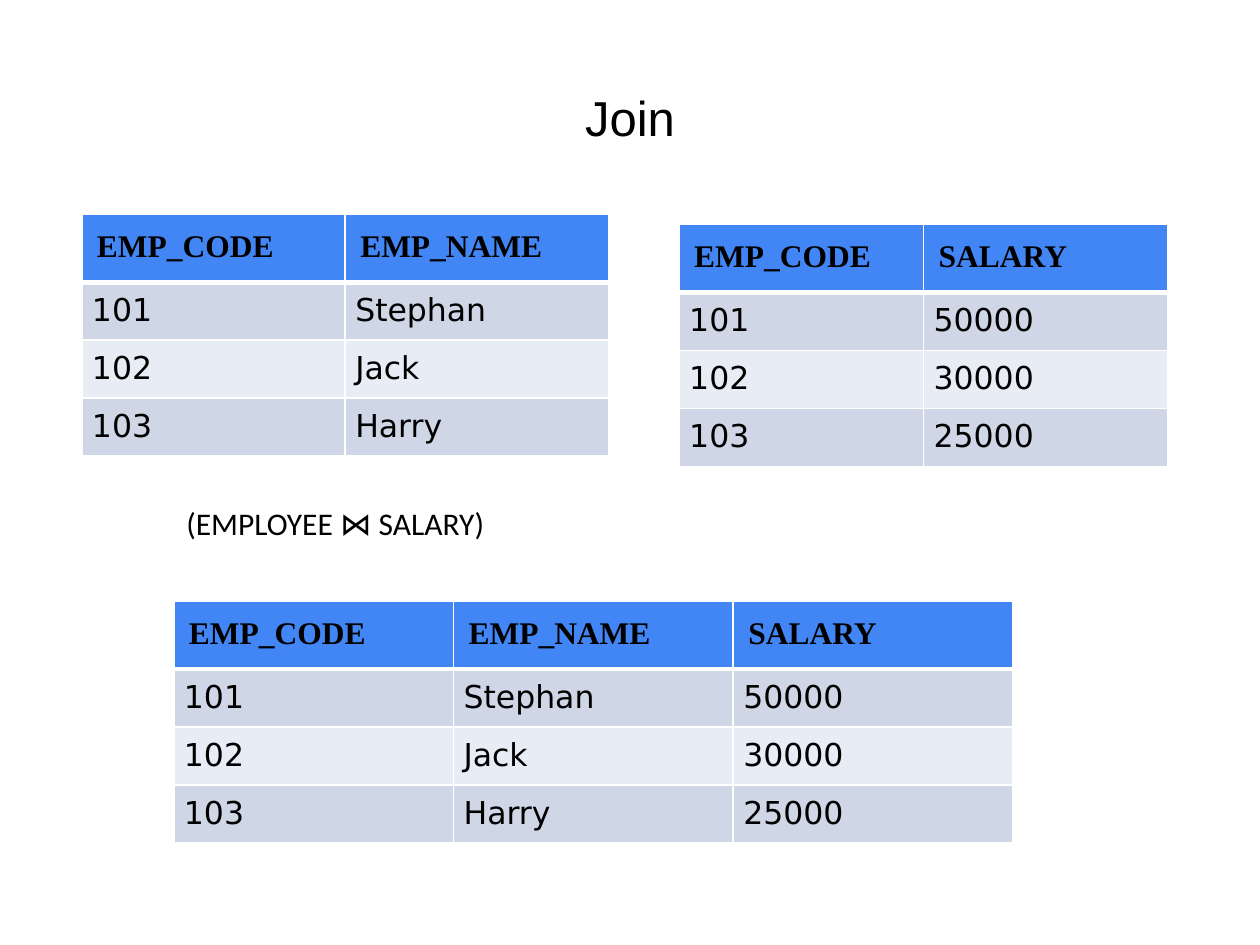
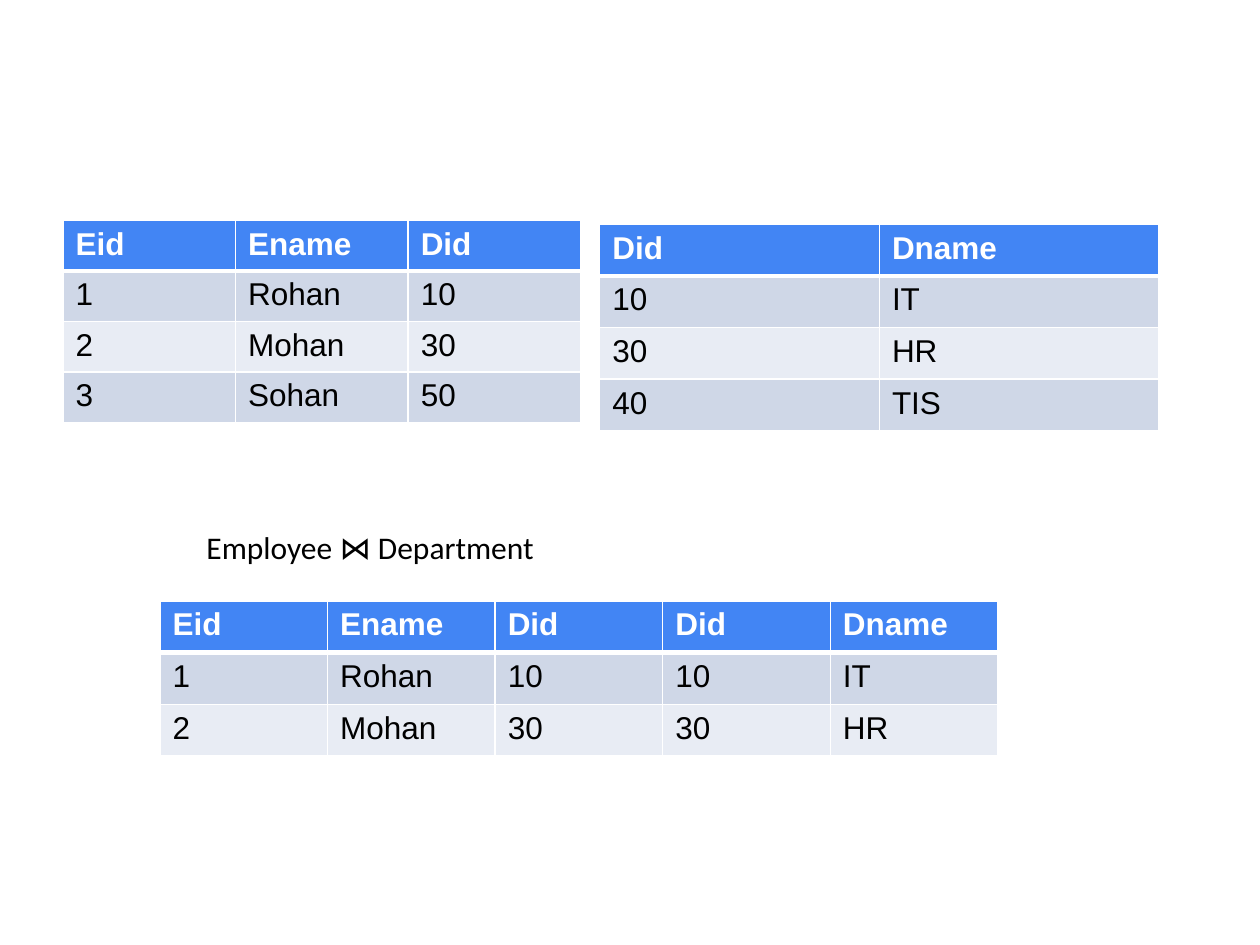
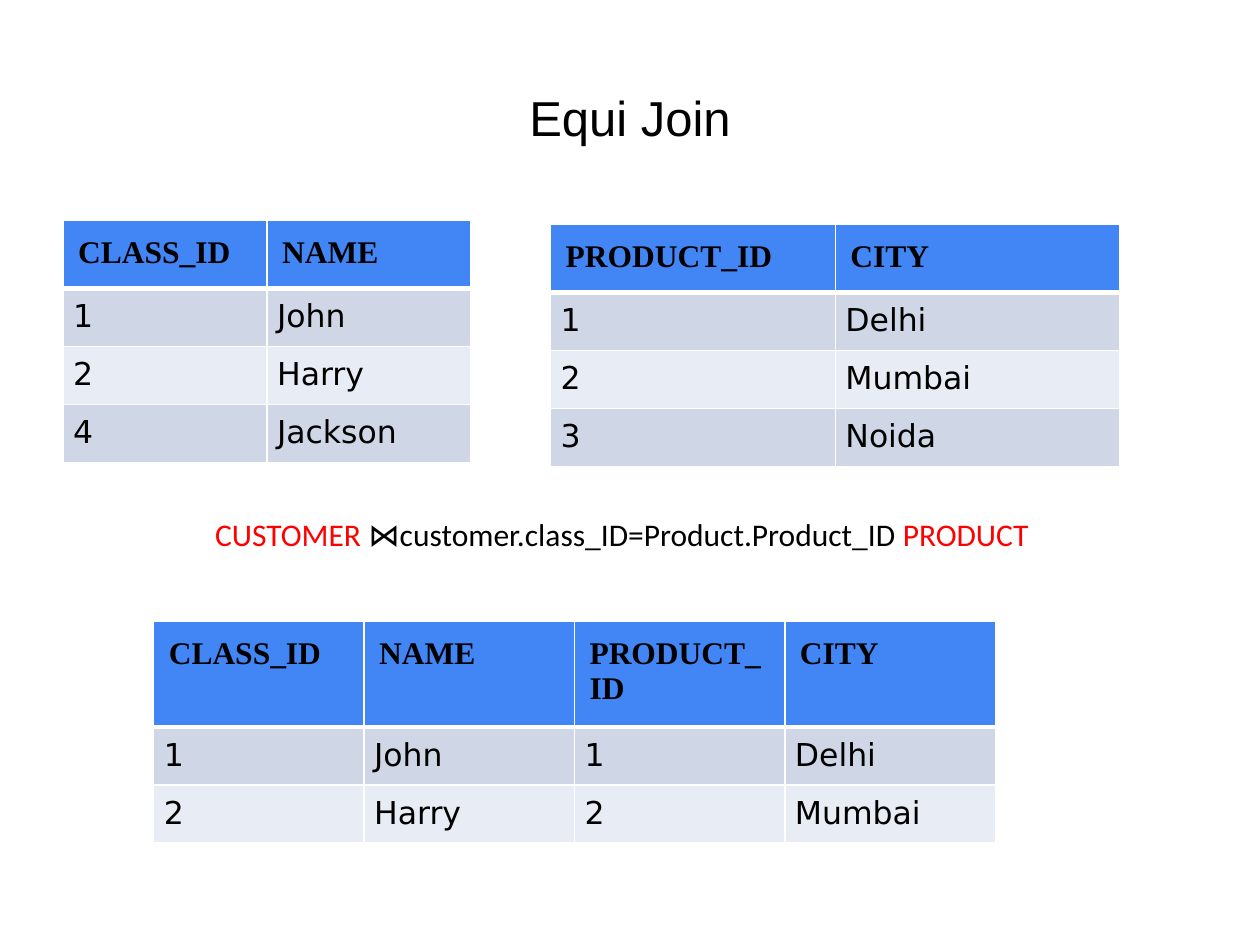
from lxml.etree import SubElement
from pptx import Presentation
from pptx.dml.color import RGBColor
from pptx.enum.text import MSO_ANCHOR, PP_ALIGN
from pptx.oxml.ns import qn
from pptx.util import Inches, Pt

# Shared look
HUES = {"head": "4285F4", "odd": "CFD7E7", "even": "E8ECF4",
        "line": "FFFFFF", "ink": "000000", "pale": "FFFFFF", "mark": "FF0000"}
WIDE, HIGH = 10, 7.5
TITLE = (0.05 * WIDE, 0.04 * HIGH, 0.9 * WIDE, 1.25)
PAD = (0.1, 0.05)
LOOKS = {
    "code": {"head": {"font": "Times New Roman", "bold": True, "pad": (0.12, 0.12)},
             "body": {"font": "DejaVu Sans", "pad": (0.08, 0.08)}},
    "plain": {"head": {"font": "Arial", "bold": True, "hue": "pale"},
              "body": {"font": "Arial"}},
}

# Content: each table is left, top, column width, row height, rows
SLIDES = [
    {"title": "Join", "look": "code",
     "note": (1.38, 3.95, 2.72, [("(EMPLOYEE ⋈ SALARY)", "ink")]),
     "tables": [
         (5.39, 1.78, 1.94, 0.41, [("EMP_CODE", "SALARY"), ("101", "50000"),
                                   ("102", "30000"), ("103", "25000")]),
         (0.65, 1.7, 2.09, 0.41, [("EMP_CODE", "EMP_NAME"), ("101", "Stephan"),
                                  ("102", "Jack"), ("103", "Harry")]),
         (1.38, 4.77, 2.22, 0.41, [("EMP_CODE", "EMP_NAME", "SALARY"),
                                   ("101", "Stephan", "50000"),
                                   ("102", "Jack", "30000"),
                                   ("103", "Harry", "25000")])]},
    {"title": None, "look": "plain",
     "note": (1.54, 4.14, 3.07, [("Employee ⋈ Department", "ink")]),
     "tables": [
         (0.5, 1.75, 1.37, 0.38, [("Eid", "Ename", "Did"), ("1", "Rohan", "10"),
                                  ("2", "Mohan", "30"), ("3", "Sohan", "50")]),
         (4.76, 1.78, 2.22, 0.41, [("Did", "Dname"), ("10", "IT"),
                                   ("30", "HR"), ("40", "TIS")]),
         (1.27, 4.77, 1.33, 0.41, [("Eid", "Ename", "Did", "Did", "Dname"),
                                   ("1", "Rohan", "10", "10", "IT"),
                                   ("2", "Mohan", "30", "30", "HR")])]},
    {"title": "Equi Join", "look": "code",
     "note": (1.61, 4.04, 6.7, [("CUSTOMER", "mark"),
                                (" ⋈customer.class_ID=Product.Product_ID ", "ink"),
                                ("PRODUCT", "mark")]),
     "tables": [
         (0.5, 1.75, 1.62, 0.41, [("CLASS_ID", "NAME"), ("1", "John"),
                                  ("2", "Harry"), ("4", "Jackson")]),
         (4.37, 1.78, 2.26, 0.41, [("PRODUCT_ID", "CITY"), ("1", "Delhi"),
                                   ("2", "Mumbai"), ("3", "Noida")]),
         (1.22, 4.93, 1.67, 0.41, [("CLASS_ID", "NAME", "PRODUCT_ID", "CITY"),
                                   ("1", "John", "1", "Delhi"),
                                   ("2", "Harry", "2", "Mumbai")])]},
]


def rgb(hue):
    return RGBColor.from_string(HUES[hue])


def write(host, frame, runs, font="Arial", size=18, bold=False, hue="ink",
          pad=PAD, align=PP_ALIGN.LEFT):
    """Fill a cell or text frame with a string or (text, hue) runs."""
    host.margin_left = host.margin_right = Inches(pad[0])
    host.margin_top = host.margin_bottom = Inches(pad[1])
    para = frame.paragraphs[0]
    para.alignment = align
    for text, tone in [(runs, hue)] if isinstance(runs, str) else runs:
        run = para.add_run()
        run.text = text
        run.font.name, run.font.size, run.font.bold = font, Pt(size), bold
        run.font.color.rgb = rgb(tone)


def add_box(slide, place, runs, anchor=MSO_ANCHOR.TOP, **style):
    frame = slide.shapes.add_textbox(*map(Inches, place)).text_frame
    frame.word_wrap = True
    frame.vertical_anchor = anchor
    write(frame, frame, runs, **style)


def edge(cell, sides):
    """Draw cell borders; these must precede the fill."""
    props = cell._tc.get_or_add_tcPr()
    for spot, (side, width) in enumerate(sides.items()):
        line = SubElement(props, qn("a:ln" + side), w=str(Pt(width)))
        fill = SubElement(line, qn("a:solidFill"))
        SubElement(fill, qn("a:srgbClr"), val=HUES["line"])
        props.insert(spot, line)


def add_grid(slide, look, left, top, wide, high, rows):
    count = len(rows[0])
    place = (left, top, wide * count, high * len(rows))
    grid = slide.shapes.add_table(len(rows), count, *map(Inches, place)).table
    for col in grid.columns:
        col.width = Inches(wide)
    for r, row in enumerate(rows):
        grid.rows[r].height = Inches(high)
        part = "body" if r else "head"
        band = "head" if r == 0 else "odd" if r % 2 else "even"
        for c, text in enumerate(row):
            cell = grid.cell(r, c)
            write(cell, cell.text_frame, text, **LOOKS[look][part])
            cell.fill.solid()
            cell.fill.fore_color.rgb = rgb(band)
            edge(cell, {"L": 1, "R": 1, "T": 3 if r == 1 else 1,
                        "B": 3 if r == 0 else 1})


def main():
    deck = Presentation()
    deck.slide_width, deck.slide_height = Inches(WIDE), Inches(HIGH)
    for page in SLIDES:
        slide = deck.slides.add_slide(deck.slide_layouts[6])
        if page["title"]:
            add_box(slide, TITLE, page["title"], size=28,
                    anchor=MSO_ANCHOR.MIDDLE, align=PP_ALIGN.CENTER)
        for table in page["tables"]:
            add_grid(slide, page["look"], *table)
        left, top, wide, runs = page["note"]
        add_box(slide, (left, top, wide, 0.4), runs, font="Calibri")
    deck.save("out.pptx")


if __name__ == "__main__":
    main()
